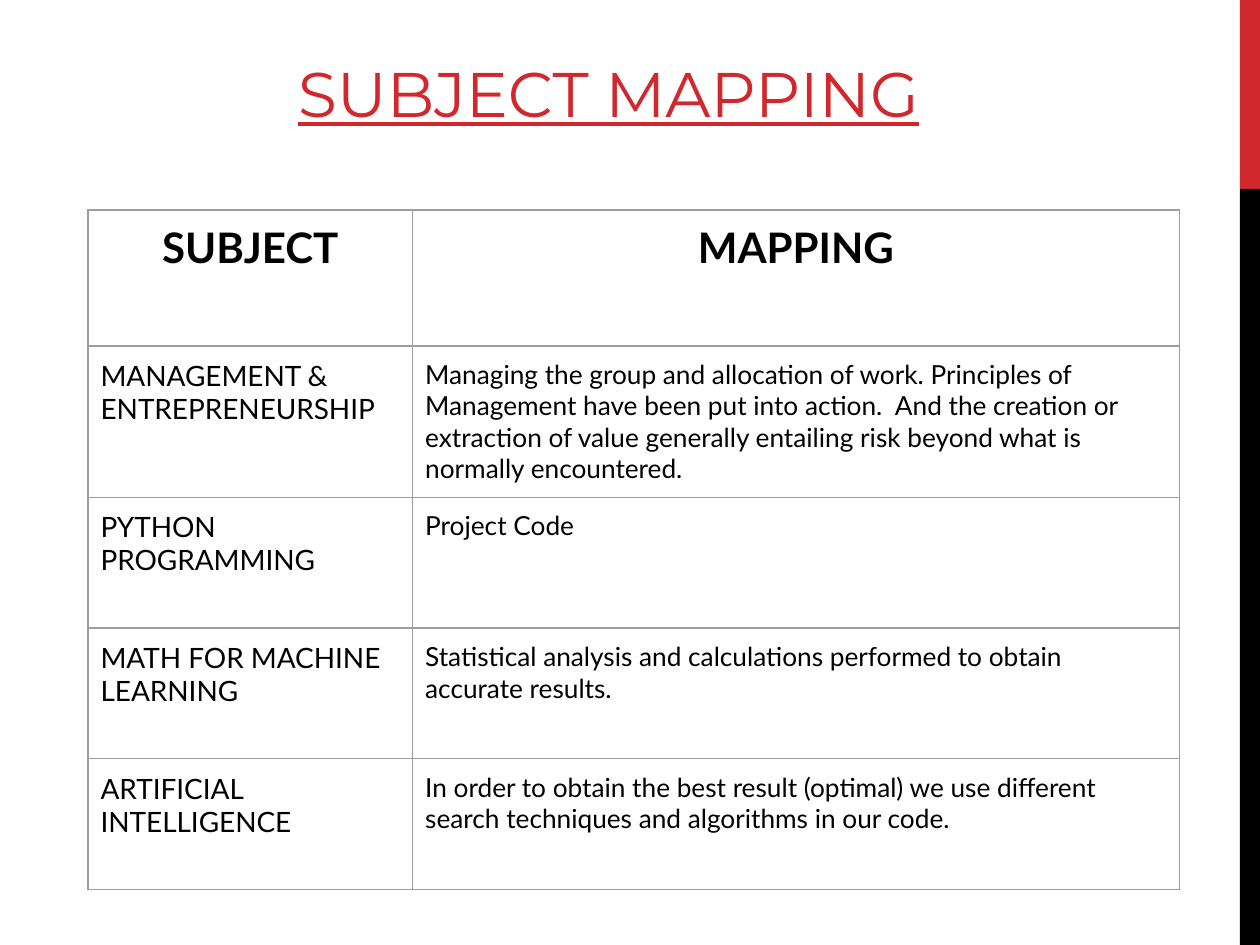
from dataclasses import dataclass

from lxml import etree
from pptx import Presentation
from pptx.dml.color import RGBColor
from pptx.enum.shapes import MSO_SHAPE
from pptx.enum.text import MSO_ANCHOR, PP_ALIGN
from pptx.oxml.ns import qn
from pptx.util import Pt

RECTANGLE = MSO_SHAPE.RECTANGLE
BOTTOM = MSO_ANCHOR.BOTTOM
LEFT, CENTER = PP_ALIGN.LEFT, PP_ALIGN.CENTER


@dataclass(frozen=True)
class Theme:
    red: RGBColor = RGBColor(0xD1, 0x28, 0x2E)
    black: RGBColor = RGBColor(0, 0, 0)
    border: str = "9E9E9E"
    border_width: int = Pt(0.75)
    title_font: str = "Montserrat"
    body_font: str = "Lato"
    title_size: int = Pt(36)
    header_size: int = Pt(24)
    subject_size: int = Pt(16)
    mapping_size: int = Pt(15)


THEME = Theme()


def write(paragraph, text, align, **font_values):
    paragraph.alignment = align
    run = paragraph.add_run()
    run.text = text
    color = font_values.pop("color")
    for attribute, value in font_values.items():
        setattr(run.font, attribute, value)
    run.font.color.rgb = color


def add_borders(cell):
    properties = cell._tc.get_or_add_tcPr()
    for side in ("lnL", "lnR", "lnT", "lnB"):
        line = etree.SubElement(properties, qn(f"a:{side}"), w=str(THEME.border_width))
        fill = etree.SubElement(line, qn("a:solidFill"))
        etree.SubElement(fill, qn("a:srgbClr"), val=THEME.border)


presentation = Presentation()
presentation.slide_width, presentation.slide_height = Pt(720), Pt(540)
slide = presentation.slides.add_slide(presentation.slide_layouts[6])

# Side band
for top, height, color in ((0, 108, THEME.red), (108, 432, THEME.black)):
    band = slide.shapes.add_shape(RECTANGLE, Pt(708.5), Pt(top), Pt(11.5), Pt(height))
    band.shadow.inherit = False
    band.fill.solid()
    band.fill.fore_color.rgb = color
    band.line.fill.background()

# Title
title = slide.shapes.add_textbox(Pt(36), Pt(12), Pt(623.5), Pt(108)).text_frame
title_format = {
    "word_wrap": True,
    "vertical_anchor": BOTTOM,
    "margin_bottom": Pt(45.5),
}
for attribute, value in title_format.items():
    setattr(title, attribute, value)
write(title.paragraphs[0], "SUBJECT MAPPING", CENTER, name=THEME.title_font,
      size=THEME.title_size, underline=True, color=THEME.red)

# Subject table
SUBJECTS = [
    ("SUBJECT", "MAPPING"),
    ("MANAGEMENT & ENTREPRENEURSHIP",
     "Managing the group and allocation of work. Principles of Management have been "
     "put into action.  And the creation or extraction of value generally entailing "
     "risk beyond what is normally encountered."),
    ("PYTHON PROGRAMMING", "Project Code"),
    ("MATH FOR MACHINE LEARNING",
     "Statistical analysis and calculations performed to obtain accurate results."),
    ("ARTIFICIAL INTELLIGENCE",
     "In order to obtain the best result (optimal) we use different search techniques "
     "and algorithms in our code."),
]
COLUMN_WIDTHS = (185.5, 438)
ROW_HEIGHTS = (77.7, 77.7, 74.8, 74.8, 74.8)
BODY_SIZES = (THEME.subject_size, THEME.mapping_size)
CELL_MARGINS = dict.fromkeys(
    ("margin_left", "margin_right", "margin_top", "margin_bottom"), Pt(7.2))

table = slide.shapes.add_table(
    len(SUBJECTS), len(COLUMN_WIDTHS), Pt(50.3), Pt(120),
    Pt(sum(COLUMN_WIDTHS)), Pt(sum(ROW_HEIGHTS))).table
for column, width in zip(table.columns, COLUMN_WIDTHS):
    column.width = Pt(width)
for row, height in zip(table.rows, ROW_HEIGHTS):
    row.height = Pt(height)

for row_index, texts in enumerate(SUBJECTS):
    is_header = row_index == 0
    for column_index, text in enumerate(texts):
        cell = table.cell(row_index, column_index)
        for attribute, value in CELL_MARGINS.items():
            setattr(cell, attribute, value)
        add_borders(cell)
        cell.fill.background()
        write(cell.text_frame.paragraphs[0], text, CENTER if is_header else LEFT,
              name=THEME.body_font, bold=is_header, color=THEME.black,
              size=THEME.header_size if is_header else BODY_SIZES[column_index])

presentation.save("out.pptx")
